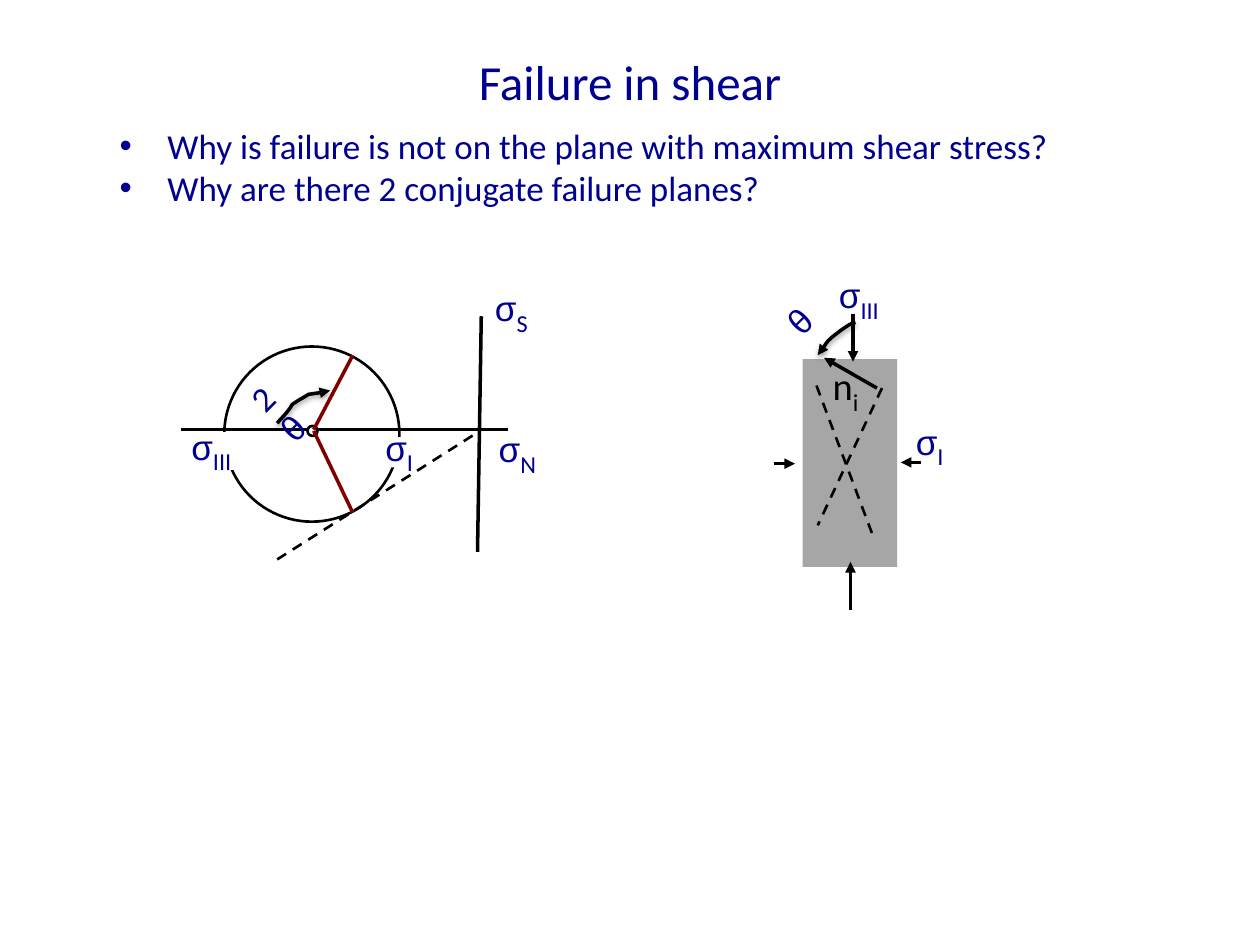
from dataclasses import dataclass
from typing import Any

from lxml.etree import SubElement
from pptx import Presentation
from pptx.dml.color import RGBColor
from pptx.enum.dml import MSO_LINE
from pptx.enum.shapes import MSO_CONNECTOR, MSO_SHAPE as SHAPE
from pptx.enum.text import MSO_ANCHOR, MSO_AUTO_SIZE, PP_ALIGN
from pptx.oxml.ns import qn
from pptx.util import Inches, Pt

COLORS = {"navy": "000090", "black": "000000", "red": "800000",
          "gray": "A6A6A6", "white": "FFFFFF"}
SIGMA, THETA = "\u03c3", "\u03b8"


def rgb(name):
    return RGBColor.from_string(COLORS[name])


def add(parent, tag, **attributes):
    return SubElement(parent, qn(tag), attributes)


def style_line(line, color, width, dashed=False, arrow=False):
    line.color.rgb = rgb(color)
    line.width = Pt(width)
    if dashed:
        line.dash_style = MSO_LINE.DASH
    if arrow:
        add(line._get_or_add_ln(), "a:tailEnd", type="triangle")


def cubic(start, first, second, end, steps=6):
    for step in range(1, steps + 1):
        t = step / steps
        weights = ((1 - t) ** 3, 3 * t * (1 - t) ** 2, 3 * t * t * (1 - t), t ** 3)
        yield tuple(sum(w * p[axis] for w, p in zip(weights, (start, first, second, end)))
                    for axis in (0, 1))


@dataclass
class Diagram:
    shapes: Any
    left: float
    top: float

    def at(self, x, y):
        return Inches(self.left + x), Inches(self.top + y)

    def shape(self, kind, x, y, width, height, fill=None, outlined=False):
        shape = self.shapes.add_shape(kind, *self.at(x, y), Inches(width), Inches(height))
        shape.shadow.inherit = False
        if fill:
            shape.fill.solid()
            shape.fill.fore_color.rgb = rgb(fill)
        else:
            shape.fill.background()
        if outlined:
            style_line(shape.line, "black", 1.5)
        else:
            shape.line.fill.background()

    def line(self, start, end, color="black", width=2, dashed=False, arrow=False):
        line = self.shapes.add_connector(MSO_CONNECTOR.STRAIGHT, *self.at(*start), *self.at(*end))
        style_line(line.line, color, width, dashed, arrow)
        add(line._element.spPr, "a:effectLst")

    def label(self, x, y, width, parts, height=0.44, color="navy", rotation=0, wrap=False):
        box = self.shapes.add_textbox(*self.at(x, y), Inches(width), Inches(height))
        box.rotation = rotation
        frame = box.text_frame
        frame.word_wrap = wrap
        frame.auto_size = MSO_AUTO_SIZE.NONE if wrap else MSO_AUTO_SIZE.SHAPE_TO_FIT_TEXT
        paragraph = frame.paragraphs[0]
        paragraph.font.color.rgb = rgb(color)
        for text, font, size, lowered in parts:
            run = paragraph.add_run()
            run.text = text
            run.font.name = font
            run.font.size = Pt(size)
            run.font.color.rgb = rgb(color)
            if lowered:
                run._r.get_or_add_rPr().set("baseline", "-25000")

    def stress(self, x, y, width, subscript):
        self.label(x, y, width, [(SIGMA, "Arial", 20, False), (subscript, "Calibri", 24, True)])

    def arc_arrow(self, start, *curves):
        points, current = [], start
        for curve in curves:
            points += cubic(current, *curve)
            current = curve[-1]
        builder = self.shapes.build_freeform(*self.at(*start))
        builder.add_line_segments([self.at(*point) for point in points], close=False)
        arc = builder.convert_to_shape()
        arc.fill.background()
        style_line(arc.line, "black", 2, arrow=True)
        arc.shadow.inherit = False
        effects = arc._element.spPr.find(qn("a:effectLst"))
        shadow = add(effects, "a:outerShdw", blurRad=str(Pt(3.1)), dist=str(Pt(1.6)),
                     dir="5400000", rotWithShape="0")
        add(add(shadow, "a:srgbClr", val=COLORS["black"]), "a:alpha", val="38000")


def add_title(slide, left, top, width, height):
    title = slide.shapes.title
    title.left, title.top, title.width, title.height = map(Inches, (left, top, width, height))
    frame = title.text_frame
    frame.text = "Failure in shear"
    frame.vertical_anchor = MSO_ANCHOR.MIDDLE
    paragraph = frame.paragraphs[0]
    paragraph.alignment = PP_ALIGN.CENTER
    paragraph.font.name, paragraph.font.size = "Calibri", Pt(28)
    paragraph.font.color.rgb = rgb("navy")


def add_questions(slide, left, top, width, height):
    box = slide.shapes.add_textbox(*map(Inches, (left, top, width, height)))
    frame = box.text_frame
    frame.word_wrap = False
    frame.auto_size = MSO_AUTO_SIZE.SHAPE_TO_FIT_TEXT
    frame.text = ("Why is failure is not on the plane with maximum shear stress?\n"
                  "Why are there 2 conjugate failure planes?")
    for paragraph in frame.paragraphs:
        paragraph.font.name, paragraph.font.size = "Calibri", Pt(20)
        paragraph.font.color.rgb = rgb("navy")
        properties = paragraph._p.get_or_add_pPr()
        properties.set("marL", str(Inches(0.38)))
        properties.set("indent", str(Inches(-0.38)))
        bullet_font = properties.makeelement(qn("a:buFont"), {"typeface": "Arial"})
        bullet = properties.makeelement(qn("a:buChar"), {"char": "\u2022"})
        properties.insert(0, bullet_font)
        properties.insert(1, bullet)


def add_mohr_circle(slide, left, top):
    mohr = Diagram(slide.shapes.add_group_shape().shapes, left, top)
    mohr.shape(SHAPE.OVAL, 0.36, 0.58, 1.39, 1.39, outlined=True)
    mohr.stress(2.41, 0, 0.47, "S")
    mohr.line((2.4, 0.34), (2.37, 2.21))
    mohr.line((0.02, 1.24), (2.61, 1.24))
    mohr.stress(2.44, 1.12, 0.52, "N")
    mohr.shape(SHAPE.RECTANGLE, 0.12, 1.26, 0.38, 0.3, "white")
    mohr.stress(0, 1.1, 0.54, "III")
    mohr.shape(SHAPE.RECTANGLE, 1.66, 1.3, 0.25, 0.24, "white")
    mohr.stress(1.54, 1.11, 0.44, "I")
    mohr.shape(SHAPE.OVAL, 1.02, 1.21, 0.08, 0.08, "white", outlined=True)
    mohr.line((1.38, 0.65), (1.07, 1.24), "red")
    mohr.label(0.47, 0.72, 0.49, [("2", "Calibri", 20, False), (THETA, "Arial", 20, False)],
               rotation=315, wrap=True)
    mohr.line((1.07, 1.25), (1.38, 1.9), "red")
    mohr.line((0.78, 2.27), (2.39, 1.25), width=1.5, dashed=True)
    mohr.arc_arrow((0.78, 1.19), ((0.82, 1.14), (0.86, 1.11), (0.9, 1.04)),
                   ((0.99, 0.98), (0.95, 1.01), (1.03, 0.96)),
                   ((1.1, 0.95), (1.18, 0.94), (1.2, 0.93)))


def add_specimen(slide, left, top):
    specimen = Diagram(slide.shapes.add_group_shape().shapes, left, top)
    specimen.shape(SHAPE.RECTANGLE, 0.23, 0.78, 0.75, 1.65, "gray")
    specimen.stress(0.42, 0, 0.54, "III")
    for start, end in (((0.86, 1.01), (0.35, 2.1)), ((0.34, 0.99), (0.78, 2.16))):
        specimen.line(start, end, width=1.5, dashed=True)
    for start, end in (((0.63, 0.42), (0.63, 0.8)), ((0.61, 2.77), (0.61, 2.39)),
                       ((0.82, 1.01), (0.4, 0.77)), ((0, 1.61), (0.17, 1.61)),
                       ((1.17, 1.6), (1.01, 1.6))):
        specimen.line(start, end, arrow=True)
    specimen.label(0.03, 0.26, 0.35, [(THETA, "Arial", 20, False)], rotation=315)
    specimen.arc_arrow((0.65, 0.49), ((0.61, 0.49), (0.51, 0.57), (0.46, 0.61)),
                       ((0.4, 0.66), (0.4, 0.7), (0.35, 0.75)))
    specimen.stress(1.03, 1.16, 0.43, "I")
    specimen.label(0.37, 0.73, 0.42, [("n", "Calibri", 22, False), ("i", "Calibri", 24, True)],
                   height=0.47, color="black")


def main():
    """Build the slide on failure in shear."""
    presentation = Presentation()
    presentation.slide_width, presentation.slide_height = Inches(10), Inches(7.5)
    slide = presentation.slides.add_slide(presentation.slide_layouts[5])
    add_title(slide, 0.5, 0.3, 9, 0.69)
    add_questions(slide, 0.85, 0.94, 7.65, 0.77)
    add_mohr_circle(slide, 1.42, 2.17)
    add_specimen(slide, 6.14, 2.07)
    presentation.save("out.pptx")


main()
